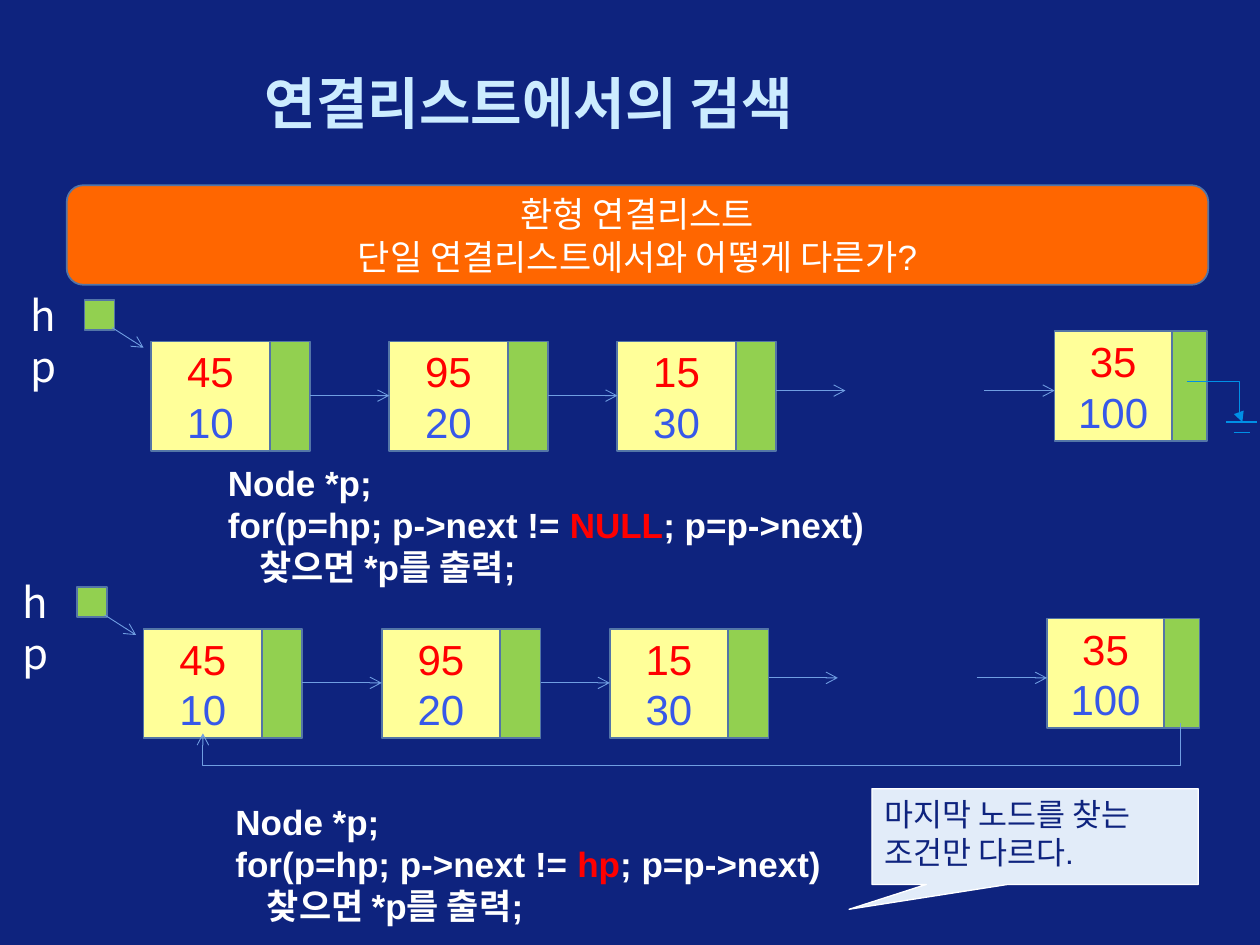
"""Slide on searching singly linked and circular linked lists."""
from pptx import Presentation
from pptx.dml.color import RGBColor
from pptx.enum.shapes import MSO_CONNECTOR, MSO_SHAPE
from pptx.enum.text import MSO_ANCHOR, MSO_AUTO_SIZE, PP_ALIGN
from pptx.oxml.ns import qn
from pptx.util import Inches, Pt
from lxml.etree import SubElement

COLORS = {
    "navy": "0E237E", "title": "CCECFF", "orange": "FF6600", "white": "FFFFFF",
    "edge": "5375A7", "data": "FFFF99", "link": "92D050", "red": "FF0000",
    "blue": "3758E9", "arrow": "709EE2", "ground": "0090E6", "note": "E2ECF9",
}
COLORS = {name: RGBColor.from_string(value) for name, value in COLORS.items()}

prs = Presentation()
prs.slide_width, prs.slide_height = Inches(10), Inches(7.5)
slide = prs.slides.add_slide(prs.slide_layouts[5])
slide.background.fill.solid()
slide.background.fill.fore_color.rgb = COLORS["navy"]


def add_block(kind, left, top, width, height, fill, edge="edge", weight=1):
    block = slide.shapes.add_shape(
        kind, Inches(left), Inches(top), Inches(width), Inches(height))
    block.shadow.inherit = False
    block.fill.solid()
    block.fill.fore_color.rgb = COLORS[fill]
    block.line.color.rgb = COLORS[edge]
    block.line.width = Pt(weight)
    return block


def add_line(x1, y1, x2, y2, color="arrow", weight=0.5, head=None, bend=None):
    kind = MSO_CONNECTOR.STRAIGHT if bend is None else MSO_CONNECTOR.ELBOW
    line = slide.shapes.add_connector(
        kind, Inches(x1), Inches(y1), Inches(x2), Inches(y2))
    line.line.color.rgb = COLORS[color]
    line.line.width = Pt(weight)
    properties = line._element.spPr
    if head:
        SubElement(line.line._get_or_add_ln(), qn("a:tailEnd"), type=head)
    if bend is not None:
        guides = properties.find(qn("a:prstGeom")).get_or_add_avLst()
        SubElement(guides, qn("a:gd"), name="adj1", fmla=f"val {round(bend * 100000)}")
    SubElement(properties, qn("a:effectLst"))
    return line


title = slide.shapes.title
title.left, title.top = Inches(2), Inches(0.5)
title.width, title.height = Inches(7.58), Inches(0.62)
title.text_frame.text = "연결리스트에서의 검색"
title.text_frame.vertical_anchor = MSO_ANCHOR.MIDDLE
heading = title.text_frame.paragraphs[0]
heading.alignment = PP_ALIGN.LEFT
heading.font.size = Pt(32)
heading.font.bold = True
heading.font.name = "Arial"
heading.font.color.rgb = COLORS["title"]

banner = add_block(MSO_SHAPE.ROUNDED_RECTANGLE, 0.53, 1.47, 9.06, 0.79, "orange")
banner.text_frame.text = "환형 연결리스트\n단일 연결리스트에서와 어떻게 다른가?"
banner.text_frame.vertical_anchor = MSO_ANCHOR.MIDDLE
for paragraph in banner.text_frame.paragraphs:
    paragraph.alignment = PP_ALIGN.CENTER
    paragraph.font.size = Pt(20)
    paragraph.font.name = "Arial"
    paragraph.font.color.rgb = COLORS["white"]

nodes = [
    (8.37, 2.63, 0.93, 0.28, "35", "100"),
    (1.2, 2.71, 0.94, 0.32, "45", "10"),
    (3.09, 2.71, 0.94, 0.32, "95", "20"),
    (4.9, 2.71, 0.94, 0.32, "15", "30"),
]
arrows = [
    (0.89, 2.6, 1.14, 2.76), (2.46, 3.14, 3.09, 3.14), (4.35, 3.14, 4.9, 3.14),
    (6.16, 3.1, 6.71, 3.1), (7.81, 3.1, 8.37, 3.1),
]
for dx, dy in [(0, 0), (-0.06, 2.28)]:
    for left, top, data_width, link_width, key, value in nodes:
        node = add_block(MSO_SHAPE.RECTANGLE, left + dx, top + dy, data_width, 0.87, "data")
        node.text_frame.text = f"{key}\n{value}"
        node.text_frame.vertical_anchor = MSO_ANCHOR.MIDDLE
        for paragraph, color in zip(node.text_frame.paragraphs, ("red", "blue")):
            paragraph.alignment = PP_ALIGN.CENTER
            paragraph.font.size = Pt(24)
            paragraph.font.name = "Arial"
            paragraph.font.color.rgb = COLORS[color]
        add_block(MSO_SHAPE.RECTANGLE, left + data_width + dx, top + dy,
                  link_width, 0.87, "link")
    add_block(MSO_SHAPE.RECTANGLE, 0.67 + dx, 2.38 + dy, 0.24, 0.24, "link")
    for x1, y1, x2, y2 in arrows:
        add_line(x1 + dx, y1 + dy, x2 + dx, y2 + dy, head="arrow")
    pointer = slide.shapes.add_textbox(
        Inches(0.14 + dx), Inches(2.25 + dy), Inches(0.58), Inches(0.5)).text_frame
    pointer.text = "hp"
    pointer.word_wrap = True
    pointer.paragraphs[0].font.size = Pt(24)
    pointer.paragraphs[0].font.name = "Noto Sans CJK KR"
    pointer.paragraphs[0].font.color.rgb = COLORS["white"]

add_line(9.42, 3.03, 9.86, 3.35, "ground", 0.75, "triangle", 0.95)
add_line(9.73, 3.35, 9.98, 3.35, "ground", 0.75)
add_line(9.79, 3.43, 9.92, 3.43, "ground", 0.75)
loop_back = add_line(5.45, 1.9, 5.53, 9.66, head="arrow", bend=4.2)
loop_back._element.spPr.find(qn("a:xfrm")).set("rot", "5400000")

for left, top, width, stop in [(1.71, 3.61, 5.28, "NULL"), (1.77, 6.3, 4.88, "hp")]:
    code = slide.shapes.add_textbox(
        Inches(left), Inches(top), Inches(width), Inches(1.11)).text_frame
    code.word_wrap = False
    code.auto_size = MSO_AUTO_SIZE.SHAPE_TO_FIT_TEXT
    code.text = "Node *p;\n\n찾으면 *p를 출력;"
    declaration, loop, found = code.paragraphs
    for part in ("for(p=hp; p->next != ", stop, "; p=p->next)"):
        loop.add_run().text = part
    found._p.get_or_add_pPr().set("marL", str(Inches(0.25)))
    for paragraph in code.paragraphs:
        for run in paragraph.runs:
            run.font.size = Pt(20)
            run.font.bold = True
            run.font.name = "Arial"
            run.font.color.rgb = COLORS["white"]
    loop.runs[1].font.color.rgb = COLORS["red"]

note = add_block(MSO_SHAPE.RECTANGULAR_CALLOUT, 6.92, 6.26, 2.59, 0.76,
                 "note", "white", 0.75)
note.adjustments[0], note.adjustments[1] = -0.57, 0.76
note.text_frame.text = "마지막 노드를 찾는 조건만 다르다."
note.text_frame.vertical_anchor = MSO_ANCHOR.TOP
remark = note.text_frame.paragraphs[0]
remark.alignment = PP_ALIGN.LEFT
remark.font.size = Pt(18)
remark.font.name = "Arial"
remark.font.color.rgb = COLORS["navy"]

prs.save("out.pptx")
